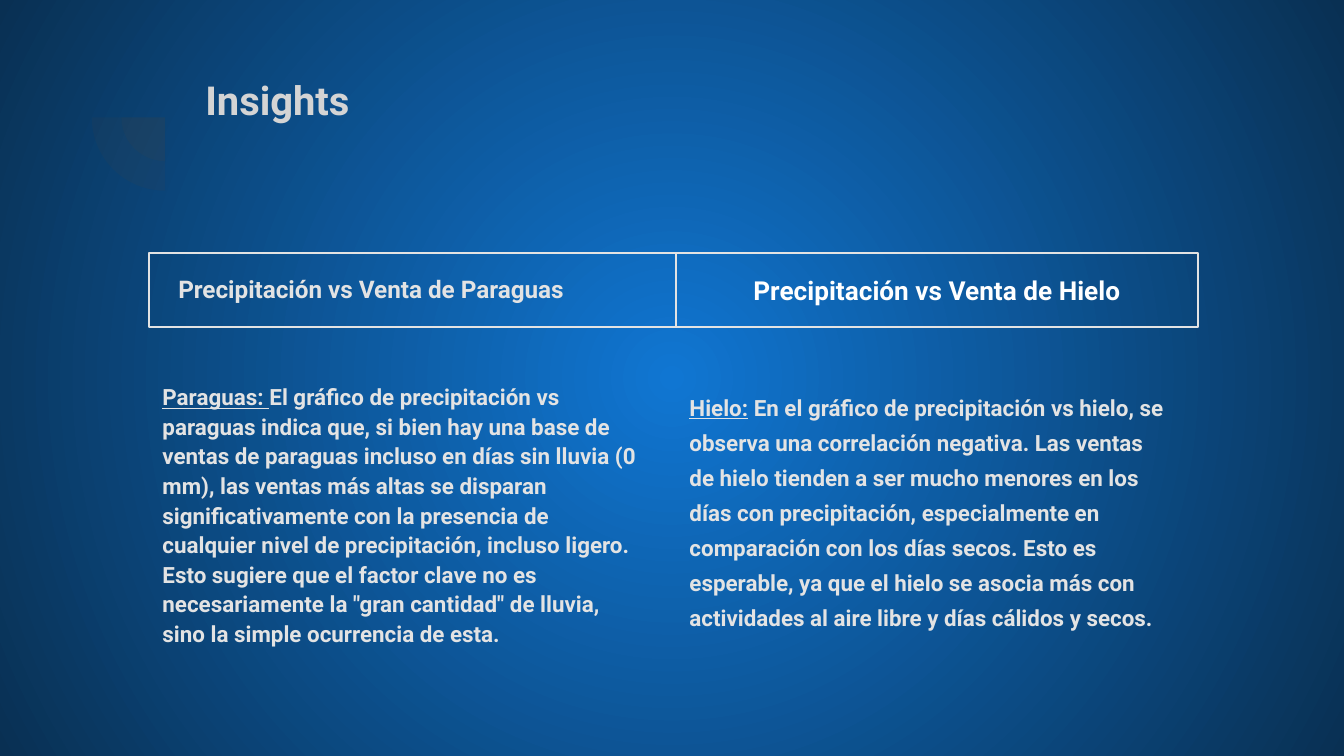
from lxml import etree
from pptx import Presentation, util as u
from pptx.dml.color import RGBColor
from pptx.enum import shapes, text
from pptx.oxml import ns

COLORS = {"center": "1076D2", "edge": "093053", "wedge": "424242",
          "title": "D4D4D4", "soft": "E3E3E3", "white": "FFFFFF"}
FONT = "Roboto"
COLUMN_LEFT = [2.82, 12.78]
HEADER_TOP, HEADER_HEIGHT = 4.78, 1.4


def rgb(name):
    return RGBColor.from_string(COLORS[name])


def write(shape, content, size, color="soft", lead="", spacing=1.0,
          align=text.PP_ALIGN.LEFT, anchor=text.MSO_ANCHOR.TOP, top=0.25):
    frame = shape.text_frame
    frame.word_wrap = True
    frame.auto_size = text.MSO_AUTO_SIZE.NONE
    frame.vertical_anchor = anchor
    frame.margin_left = frame.margin_right = frame.margin_bottom = u.Cm(0.25)
    frame.margin_top = u.Cm(top)
    paragraph = frame.paragraphs[0]
    properties = paragraph._p.get_or_add_pPr()
    properties.set("marL", "0")
    properties.set("indent", "0")
    etree.SubElement(properties, ns.qn("a:buNone"))
    paragraph.alignment = align
    paragraph.line_spacing = spacing
    paragraph.space_before = u.Pt(0)
    for part, underlined in ((lead, True), (content, False)):
        if part:
            run = paragraph.add_run()
            run.text = part
            run.font.name, run.font.size = FONT, u.Pt(size)
            run.font.bold, run.font.underline = True, underlined
            run.font.color.rgb = rgb(color)


deck = Presentation()
deck.slide_width, deck.slide_height = u.Cm(25.4), u.Cm(14.29)
slide = deck.slides.add_slide(deck.slide_layouts.get_by_name("Two Content"))

backdrop = slide.background.fill
backdrop.gradient()
for stop, name, position in zip(backdrop.gradient_stops, ("center", "edge"), (0, 1)):
    stop.color.rgb = rgb(name)
    stop.position = position
gradient = slide._element.find(".//" + ns.qn("a:gradFill"))
gradient.remove(gradient.find(ns.qn("a:lin")))
circle = etree.SubElement(gradient, ns.qn("a:path"), path="circle")
etree.SubElement(circle, ns.qn("a:fillToRect"), l="50000", t="50000", r="50000", b="50000")

for diameter in (1.65, 2.77):
    wedge = slide.shapes.add_shape(
        shapes.MSO_SHAPE.PIE, u.Cm(3.12 - diameter / 2), u.Cm(2.22 - diameter / 2),
        u.Cm(diameter), u.Cm(diameter))
    wedge.adjustments[0], wedge.adjustments[1] = 108, 162
    wedge.rotation = 270
    wedge.shadow.inherit = False
    wedge.line.fill.background()
    wedge.fill.solid()
    wedge.fill.fore_color.rgb = rgb("wedge")
    tint = wedge._element.spPr.find(".//" + ns.qn("a:srgbClr"))
    etree.SubElement(tint, ns.qn("a:alpha"), val="13000")

title, umbrella_insight, ice_insight = slide.placeholders
title.left, title.top, title.width, title.height = map(u.Cm, (3.63, 0.89, 19.53, 1.7))
write(title, "Insights", 21.4, color="title", spacing=1.3, anchor=text.MSO_ANCHOR.MIDDLE)

insights = [
    (umbrella_insight, 6.4, 6.15, 0.8, 1.1, "Paraguas: ",
     "El gráfico de precipitación vs paraguas indica que, si bien hay una base de ventas "
     "de paraguas incluso en días sin lluvia (0 mm), las ventas más altas se disparan "
     "significativamente con la presencia de cualquier nivel de precipitación, incluso "
     "ligero. Esto sugiere que el factor clave no es necesariamente la \"gran cantidad\" "
     "de lluvia, sino la simple ocurrencia de esta."),
    (ice_insight, 6.17, 6.4, 1.13, 1.3, "Hielo:",
     " En el gráfico de precipitación vs hielo, se observa una correlación negativa. Las "
     "ventas de hielo tienden a ser mucho menores en los días con precipitación, "
     "especialmente en comparación con los días secos. Esto es esperable, ya que el hielo "
     "se asocia más con actividades al aire libre y días cálidos y secos."),
]
for left, (insight, top, height, inset, spacing, lead, content) in zip(COLUMN_LEFT, insights):
    insight.left, insight.top = u.Cm(left), u.Cm(top)
    insight.width, insight.height = u.Cm(9.53), u.Cm(height)
    write(insight, content, 12, lead=lead, spacing=spacing, top=inset)

umbrella_heading = slide.shapes.add_textbox(u.Cm(3.12), u.Cm(4.93), u.Cm(8.26), u.Cm(1.07))
write(umbrella_heading, "Precipitación vs Venta de Paraguas", 13)

for left, width in zip(COLUMN_LEFT, (9.96, 9.86)):
    header = slide.shapes.add_shape(
        shapes.MSO_SHAPE.RECTANGLE, u.Cm(left), u.Cm(HEADER_TOP),
        u.Cm(width), u.Cm(HEADER_HEIGHT))
    header.shadow.inherit = False
    header.fill.background()
    header.line.color.rgb = rgb("soft")
    header.line.width = u.Pt(0.75)
write(header, "Precipitación vs Venta de Hielo", 14, color="white",
      align=text.PP_ALIGN.CENTER, anchor=text.MSO_ANCHOR.MIDDLE)

deck.save("out.pptx")
